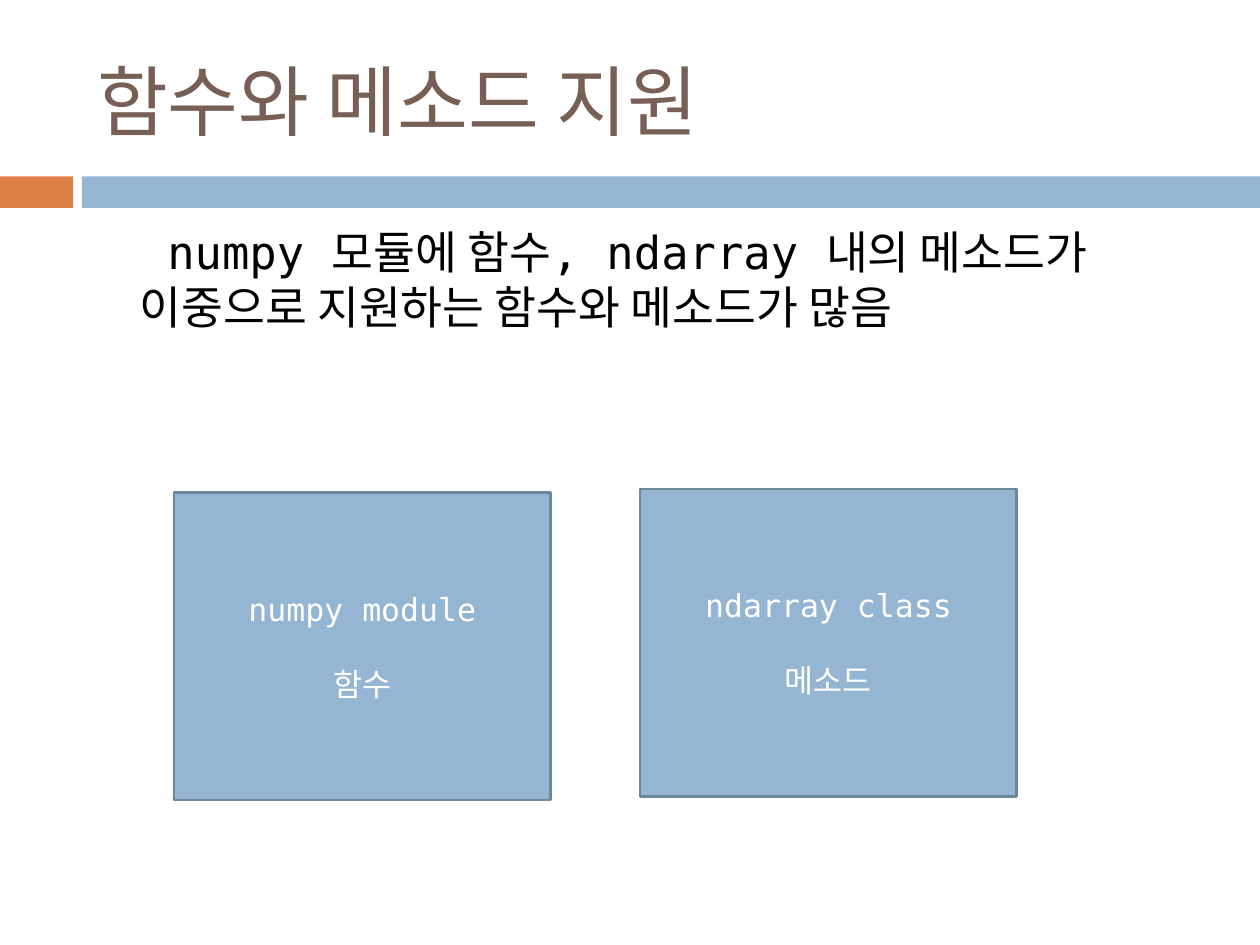
from pptx import Presentation
from pptx.dml.color import RGBColor
from pptx.enum.shapes import MSO_SHAPE as SHAPE
from pptx.enum.text import MSO_ANCHOR as ANCHOR, PP_ALIGN as ALIGN
from pptx.util import Inches, Pt

FONT = "DejaVu Sans Mono"
COLORS = {"orange": "DD8047", "blue": "94B6D2", "edge": "6D879B",
          "brown": "775F55", "black": "000000", "white": "FFFFFF"}

TITLE = "함수와 메소드 지원"
BODY = "numpy 모듈에 함수, ndarray 내의 메소드가 이중으로 지원하는 함수와 메소드가 많음"
BANDS = [("orange", 0, 0.58), ("blue", 0.65, 9.35)]  # color, left, width
BAND_TOP, BAND_HEIGHT = 1.4, 0.25
CARDS = [(["numpy module", "함수"], 3.91), (["ndarray class", "메소드"], 3.88)]  # lines, top
CARD_LEFT, CARD_PITCH, CARD_WIDTH, CARD_HEIGHT = 1.38, 3.7, 2.99, 2.44


def rgb(name):
    return RGBColor.from_string(COLORS[name])


def write(sp, lines, size, color, align=ALIGN.LEFT, anchor=ANCHOR.MIDDLE, gap=0):
    """Fill a shape with paragraphs, with gap points between them."""
    tf = sp.text_frame
    tf.word_wrap = True
    tf.vertical_anchor = anchor
    for i, line in enumerate(lines):
        p = tf.add_paragraph() if i else tf.paragraphs[0]
        p.alignment = align
        p.space_before = Pt(gap if i else 0)
        r = p.add_run()
        r.text = line
        r.font.name, r.font.size = FONT, Pt(size)
        r.font.color.rgb = rgb(color)
    return tf


def add_rect(slide, left, top, width, height, fill, line=None):
    sp = slide.shapes.add_shape(SHAPE.RECTANGLE, *map(Inches, (left, top, width, height)))
    sp.shadow.inherit = False
    sp.fill.solid()
    sp.fill.fore_color.rgb = rgb(fill)
    if line:
        sp.line.color.rgb = rgb(line)
        sp.line.width = Pt(1.5)
    else:
        sp.line.fill.background()
    return sp


def main():
    prs = Presentation()
    prs.slide_width, prs.slide_height = Inches(10), Inches(7.5)
    slide = prs.slides.add_slide(prs.slide_layouts[5])

    for color, left, width in BANDS:
        add_rect(slide, left, BAND_TOP, width, BAND_HEIGHT, color)

    title = slide.shapes.title
    title.left, title.top, title.width, title.height = map(Inches, (0.67, 0.25, 8.92, 1.08))
    write(title, [TITLE], 44, "brown")

    body = slide.shapes.add_textbox(*map(Inches, (0.51, 1.73, 9, 1.47)))
    tf = write(body, [BODY], 26, "black", anchor=ANCHOR.TOP)
    pPr = tf.paragraphs[0]._p.get_or_add_pPr()
    pPr.set("marL", str(Inches(0.5)))
    pPr.set("indent", str(Inches(0.22)))

    for i, (lines, top) in enumerate(CARDS):
        card = add_rect(slide, CARD_LEFT + i * CARD_PITCH, top,
                        CARD_WIDTH, CARD_HEIGHT, "blue", "edge")
        write(card, lines, 18, "white", align=ALIGN.CENTER, gap=21)

    prs.save("out.pptx")


if __name__ == "__main__":
    main()
